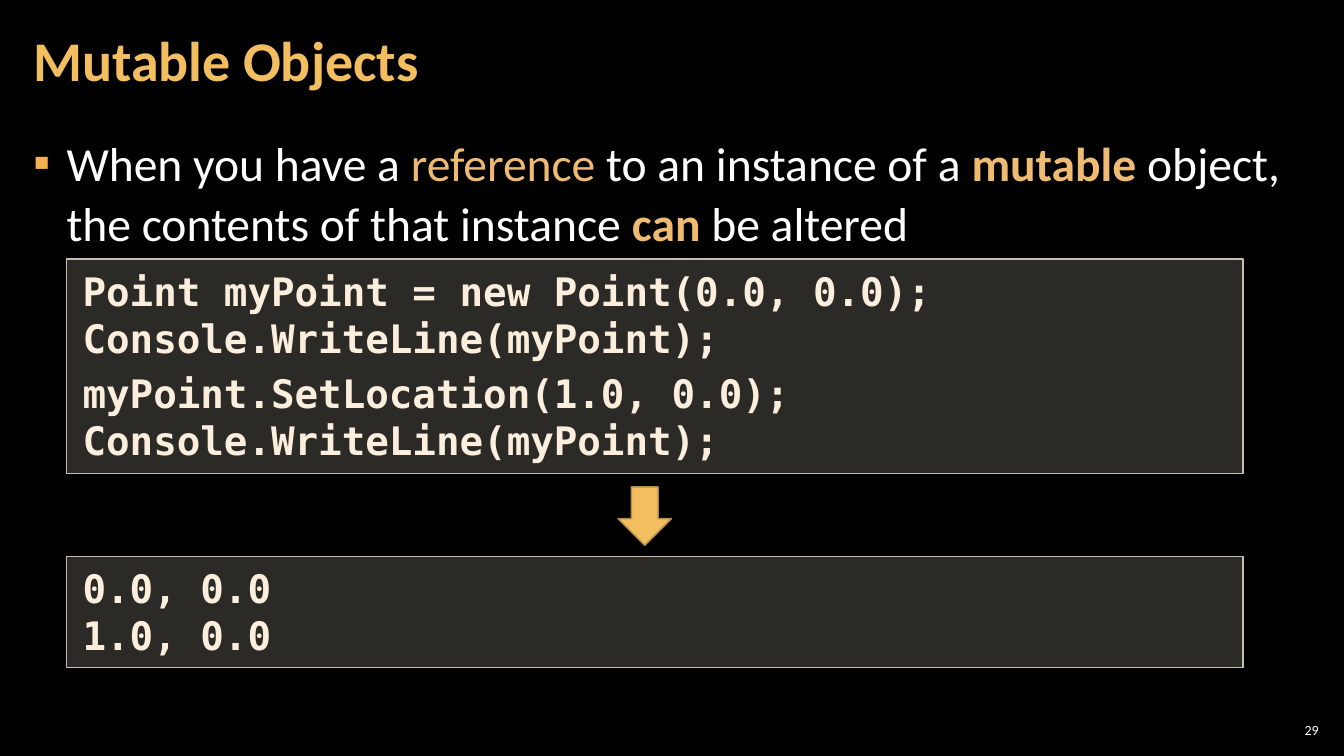
"""Builds the slide on mutable objects: a statement, a code sample and its output."""
from lxml import etree
from pptx import Presentation
from pptx.dml.color import RGBColor
from pptx.enum.shapes import MSO_SHAPE
from pptx.enum.text import MSO_ANCHOR, MSO_AUTO_SIZE, PP_ALIGN
from pptx.oxml.ns import qn
from pptx.util import Inches, Pt

RECTANGLE, DOWN_ARROW = MSO_SHAPE.RECTANGLE, MSO_SHAPE.DOWN_ARROW
TOP, MIDDLE = MSO_ANCHOR.TOP, MSO_ANCHOR.MIDDLE
LEFT, RIGHT = PP_ALIGN.LEFT, PP_ALIGN.RIGHT
NO_AUTOFIT = MSO_AUTO_SIZE.NONE

TITLE = "Mutable Objects"
PAGE_NUMBER = "29"
STATEMENT = [
    ("When you have a ", "plain"),
    ("reference", "accent"),
    (" to an instance of a ", "plain"),
    ("mutable", "strong"),
    (" object, the contents of that instance ", "plain"),
    ("can", "strong"),
    (" be altered", "plain"),
]
CODE = [
    "Point myPoint = new Point(0.0, 0.0);",
    "Console.WriteLine(myPoint);",
    "myPoint.SetLocation(1.0, 0.0);",
    "Console.WriteLine(myPoint);",
]
OUTPUT = ["0.0, 0.0", "1.0, 0.0"]

TEXT_FONT, CODE_FONT = "Calibri", "DejaVu Sans Mono"
BLACK, WHITE, GOLD, ACCENT = "000000", "FFFFFF", "F3BE60", "EFBB72"
RUN_STYLES = {"plain": (WHITE, False), "accent": (ACCENT, False), "strong": (ACCENT, True)}

WIDTH, HEIGHT = 13.33, 7.5
MARGIN = 0.21
CONTENT_WIDTH = WIDTH - 2 * MARGIN
PANEL_LEFT = 0.66
PANEL_WIDTH = 11.67
ARROW_WIDTH = 0.53
ARROW_LEFT = PANEL_LEFT + (PANEL_WIDTH - ARROW_WIDTH) / 2 - 0.1


def color(value):
    return RGBColor.from_string(value)


def place(shape, left, top, width, height):
    shape.left, shape.top = Inches(left), Inches(top)
    shape.width, shape.height = Inches(width), Inches(height)


def set_frame(shape, anchor, side, edge):
    frame = shape.text_frame
    frame.word_wrap = True
    frame.auto_size = NO_AUTOFIT
    frame.vertical_anchor = anchor
    frame.margin_left = frame.margin_right = Inches(side)
    frame.margin_top = frame.margin_bottom = Inches(edge)
    return frame


def set_font(paragraph, name, size, value, bold=False):
    font = paragraph.font
    font.name, font.size, font.bold = name, Pt(size), bold
    font.color.rgb = color(value)


def set_bullet(paragraph, character, value, indent):
    properties = paragraph._p.get_or_add_pPr()
    properties.set("marL", str(Inches(indent)))
    properties.set("indent", str(-Inches(indent)))
    bullet_color = etree.SubElement(properties, qn("a:buClr"))
    etree.SubElement(bullet_color, qn("a:srgbClr"), val=value)
    etree.SubElement(properties, qn("a:buFont"), typeface=TEXT_FONT)
    etree.SubElement(properties, qn("a:buChar"), char=character)


def add_filled(slide, kind, box, fill, line, opacity=100):
    shape = slide.shapes.add_shape(kind, *map(Inches, box))
    shape.shadow.inherit = False
    shape.fill.solid()
    shape.fill.fore_color.rgb = color(fill)
    shape.line.color.rgb = color(line)
    shape.line.width = Pt(1)
    if opacity < 100:
        fill_color = shape.fill._xPr.find(qn("a:solidFill"))[0]
        etree.SubElement(fill_color, qn("a:alpha"), val=str(opacity * 1000))
    return shape


def add_panel(slide, top, height, lines):
    box = (PANEL_LEFT, top, PANEL_WIDTH, height)
    panel = add_filled(slide, RECTANGLE, box, "D9D5C7", "C7BFAC", opacity=20)
    frame = set_frame(panel, TOP, 0.16, 0.08)
    frame.text = "\n".join(lines)
    for paragraph in frame.paragraphs:
        paragraph.alignment = LEFT
        set_font(paragraph, CODE_FONT, 28, "FBEEDC", bold=True)
    return frame


def fill_title(shape):
    place(shape, MARGIN, 0.04, 10.47, 1.21)
    frame = set_frame(shape, MIDDLE, 0.12, 0.04)
    frame.text = TITLE
    paragraph = frame.paragraphs[0]
    paragraph.alignment = LEFT
    paragraph.line_spacing = Pt(40)
    set_font(paragraph, TEXT_FONT, 40, GOLD, bold=True)


def fill_body(shape):
    place(shape, MARGIN, 1.26, CONTENT_WIDTH, 6.09)
    paragraph = set_frame(shape, TOP, 0.12, 0.04).paragraphs[0]
    paragraph.line_spacing = 1.05
    paragraph.space_before = paragraph.space_after = Pt(6)
    set_bullet(paragraph, "▪", "F2B254", 0.33)
    set_font(paragraph, TEXT_FONT, 34, WHITE)
    for text, style in STATEMENT:
        run = paragraph.add_run()
        run.text = text
        value, run.font.bold = RUN_STYLES[style]
        run.font.color.rgb = color(value)


def add_page_number(slide):
    width = 0.47
    box = (WIDTH - MARGIN - width, 7.14, width, 0.21)
    frame = set_frame(slide.shapes.add_textbox(*map(Inches, box)), MIDDLE, 0.04, 0.04)
    frame.text = PAGE_NUMBER
    frame.paragraphs[0].alignment = RIGHT
    set_font(frame.paragraphs[0], TEXT_FONT, 10, WHITE)


def main():
    presentation = Presentation()
    presentation.slide_width, presentation.slide_height = Inches(WIDTH), Inches(HEIGHT)
    slide = presentation.slides.add_slide(presentation.slide_layouts[1])
    slide.background.fill.solid()
    slide.background.fill.fore_color.rgb = color(BLACK)

    fill_title(slide.shapes.title)
    fill_body(slide.placeholders[1])
    add_page_number(slide)
    code = add_panel(slide, 2.57, 2.13, CODE)
    code.paragraphs[1].space_after = Pt(6)
    add_filled(slide, DOWN_ARROW, (ARROW_LEFT, 4.83, ARROW_WIDTH, 0.58), GOLD, "B48D47")
    add_panel(slide, 5.52, 1.1, OUTPUT)
    presentation.save("out.pptx")


if __name__ == "__main__":
    main()
